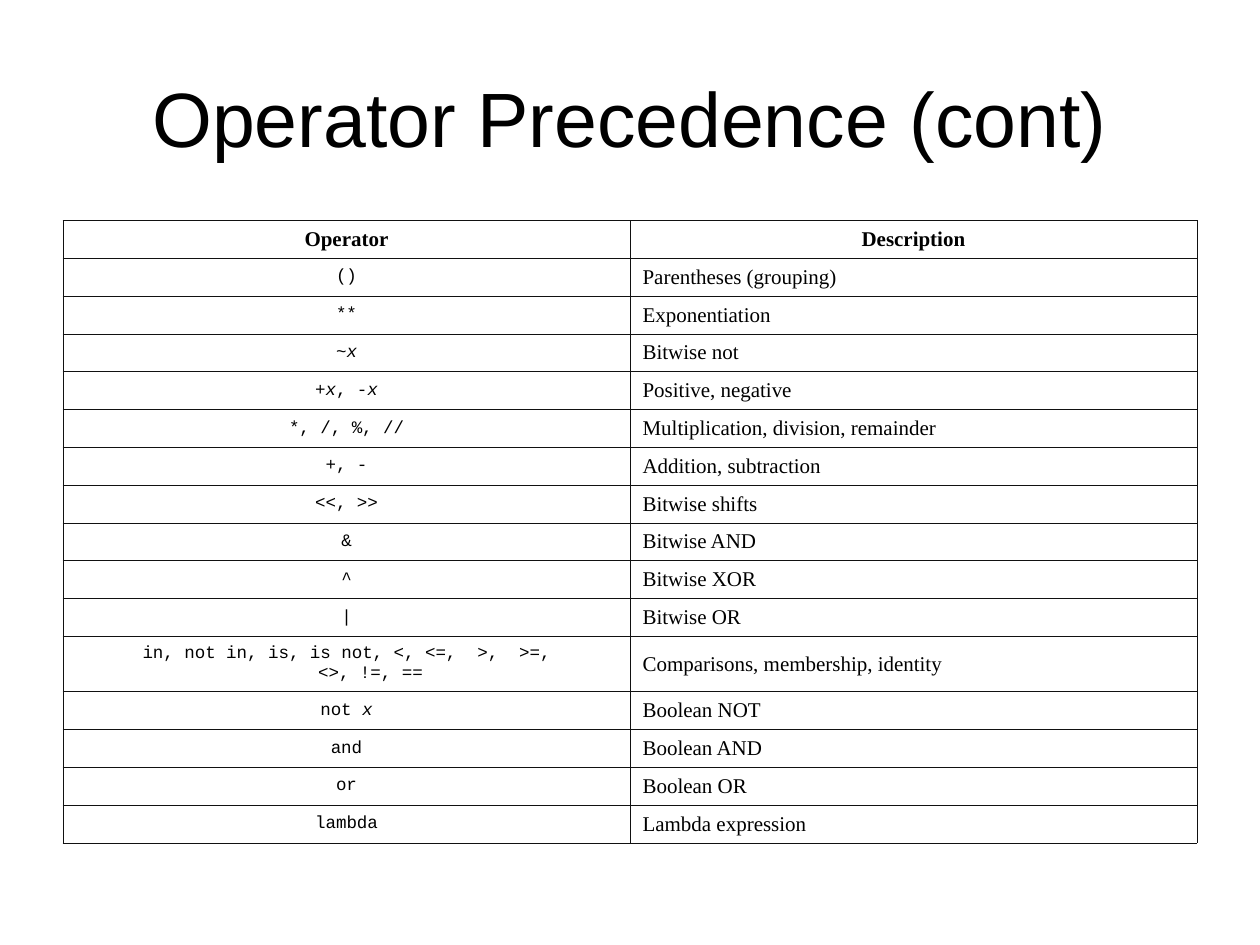
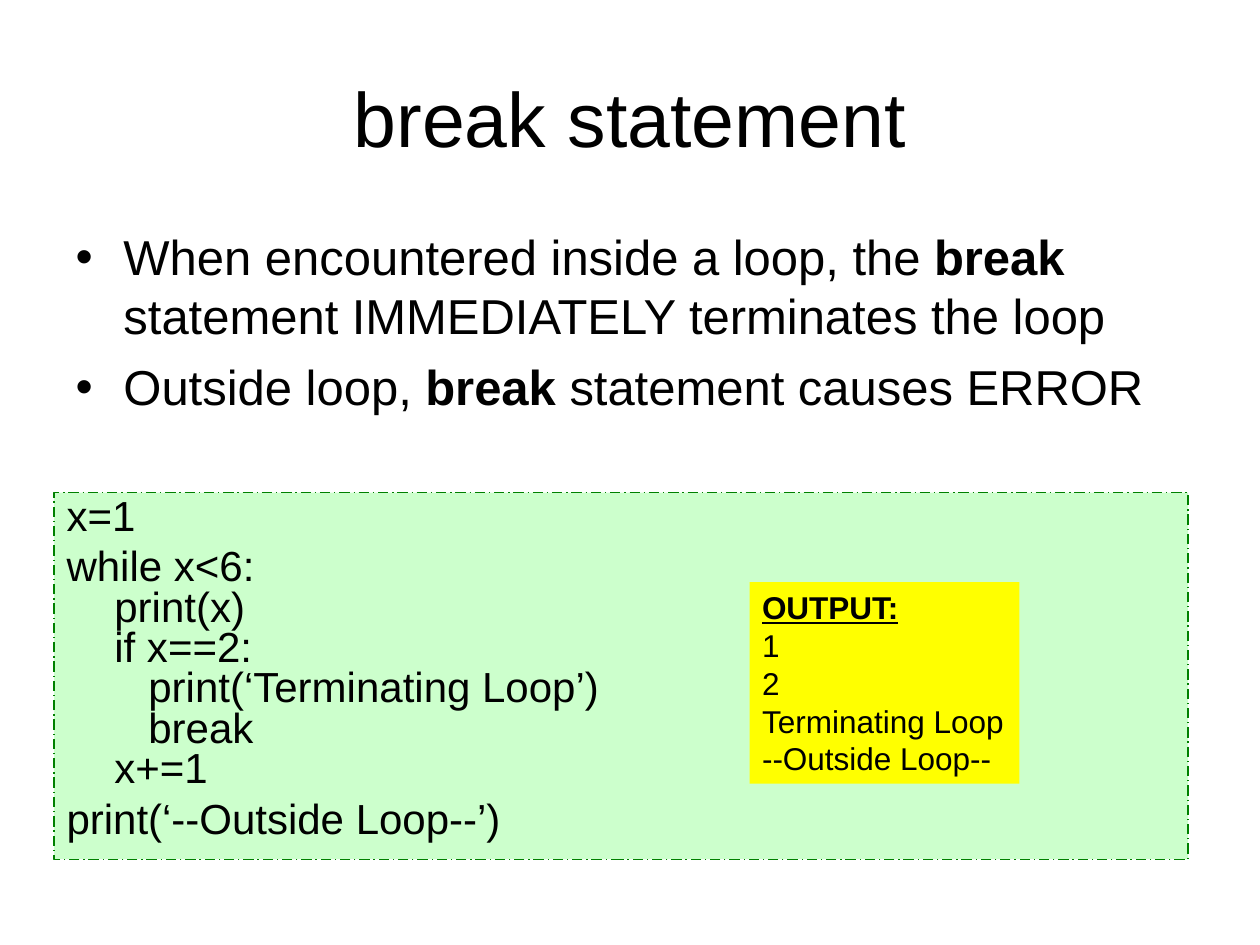
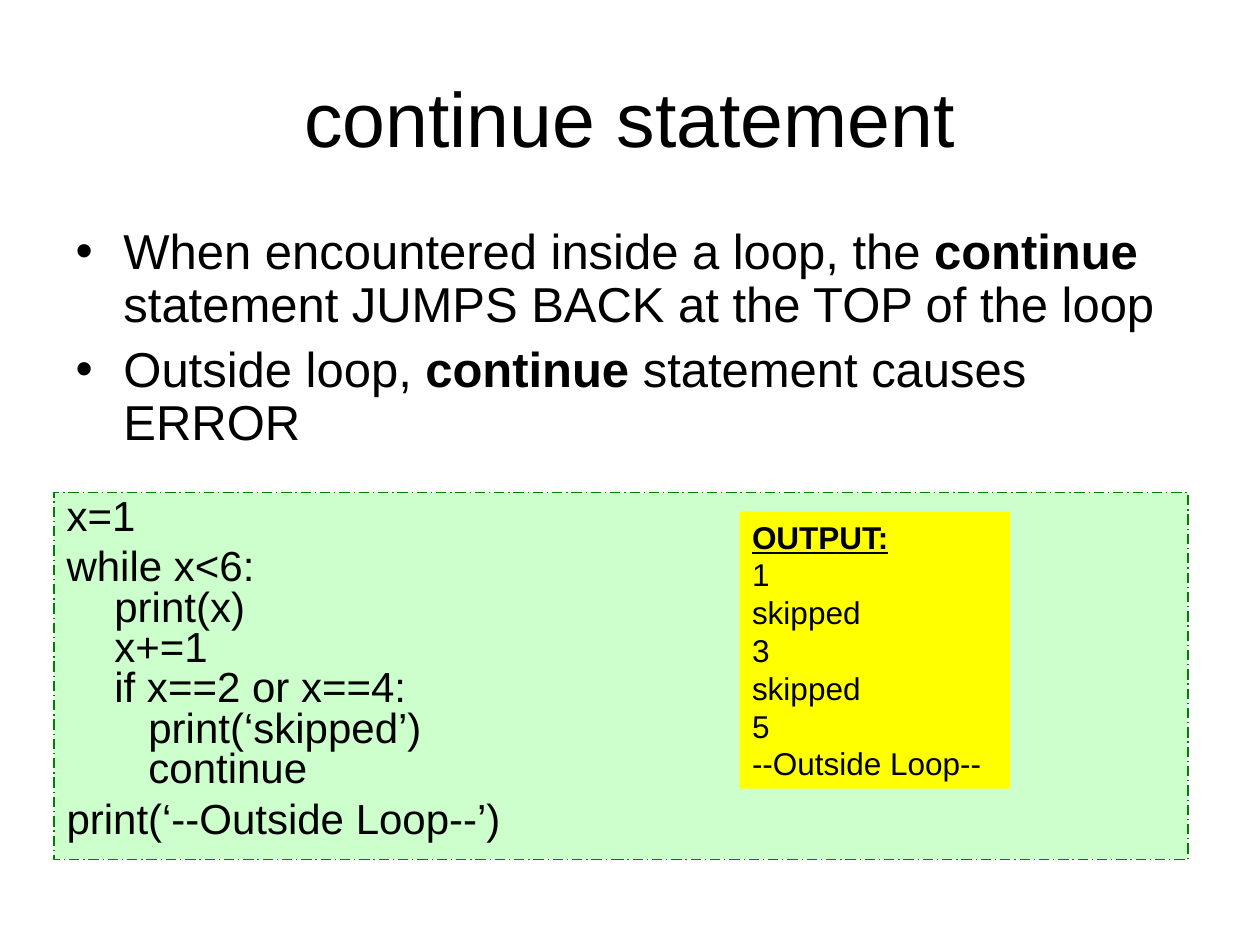
from lxml import etree
from pptx import Presentation
from pptx.dml.color import RGBColor
from pptx.enum import dml, shapes, text
from pptx.oxml import ns
from pptx import util as u

SCALE = 9144  # EMU in one px, 100 px to the inch
HEX = {"ink": "000000", "grid": "111111", "code": "CCFFCC",
       "edge": "008000", "out": "FFFF00"}
SANS, SERIF, MONO = "Arial", "Times New Roman", "Courier New"
HANG = 38
STEPS = (0, 38, 65)  # left edge of each code level

OPS = [
    ("()", "Parentheses (grouping)"),
    ("**", "Exponentiation"),
    ("~_x_", "Bitwise not"),
    ("+_x_, -_x_", "Positive, negative"),
    ("*, /, %, //", "Multiplication, division, remainder"),
    ("+, -", "Addition, subtraction"),
    ("<<, >>", "Bitwise shifts"),
    ("&", "Bitwise AND"),
    ("^", "Bitwise XOR"),
    ("|", "Bitwise OR"),
    ("in, not in, is, is not, <, <=,  >,  >=,\n<>, !=, ==",
     "Comparisons, membership, identity"),
    ("not _x_", "Boolean NOT"),
    ("and", "Boolean AND"),
    ("or", "Boolean OR"),
    ("lambda", "Lambda expression"),
]

LOOPS = [
    dict(
        title="break statement",
        points=["When encountered inside a loop, the _break_ statement "
                "IMMEDIATELY terminates the loop",
                "Outside loop, _break_ statement causes ERROR"],
        high=169, lead=1.0,
        code=[(0, "x=1"), (0, "while x<6:"), (1, "print(x)"),
              (1, "if x==2:"), (2, "print(‘Terminating Loop’)"),
              (2, "break"), (1, "x+=1"), (0, "print(‘--Outside Loop--’)")],
        out=["1", "2", "Terminating Loop", "--Outside Loop--"],
        spot=(595, 462, 214, 160)),
    dict(
        title="continue statement",
        points=["When encountered inside a loop, the _continue_ statement "
                "JUMPS BACK at the TOP of the loop",
                "Outside loop, _continue_ statement causes ERROR"],
        high=192, lead=0.9,
        code=[(0, "x=1"), (0, "while x<6:"), (1, "print(x)"), (1, "x+=1"),
              (1, "if x==2 or x==4:"), (2, "print(‘skipped’)"),
              (2, "continue"), (0, "print(‘--Outside Loop--’)")],
        out=["1", "skipped", "3", "skipped", "5", "--Outside Loop--"],
        spot=(587, 406, 215, 220)),
]


def px(n):
    return u.Emu(n * SCALE)


def color(name):
    return RGBColor.from_string(HEX[name])


class Deck:
    def __init__(self):
        self.prs = Presentation()
        self.prs.slide_width, self.prs.slide_height = px(1000), px(750)

    def slide(self, title, layout):
        self.page = self.prs.slides.add_slide(self.prs.slide_layouts[layout])
        head = self.page.shapes.title
        self.place(head, 50, 30, 900, 125)
        self.lines(head.text_frame, [title], 44)

    def place(self, shape, *box):
        shape.left, shape.top, shape.width, shape.height = map(px, box)
        shape.text_frame.auto_size = text.MSO_AUTO_SIZE.NONE

    def lines(self, frame, rows, size, face=SANS, mark="bold"):
        """Write one paragraph a row; words between underscores get the mark."""
        for i, row in enumerate(rows):
            para = frame.add_paragraph() if i else frame.paragraphs[0]
            para.font.name, para.font.size = face, u.Pt(size)
            para.font.color.rgb = color("ink")
            for j, part in enumerate(row.split("_")):
                for k, bit in enumerate(part.split("\n")):
                    if k:
                        para.add_line_break()
                    if bit:
                        run = para.add_run()
                        run.text = bit
                        if j % 2:
                            setattr(run.font, mark, True)
        return frame.paragraphs

    def indent(self, para, left, first):
        props = para._p.get_or_add_pPr()
        props.set("marL", str(px(left)))
        props.set("indent", str(px(first)))

    def points(self, rows, high, lead):
        body = self.page.placeholders[1]
        self.place(body, 50, 175, 900, high)
        for para in self.lines(body.text_frame, rows, 28):
            para.space_before, para.line_spacing = u.Pt(7), lead
            self.indent(para, HANG, -HANG)

    def panel(self, box, fill, rows, size):
        shape = self.page.shapes.add_shape(
            shapes.MSO_SHAPE.RECTANGLE, *map(px, box))
        shape.shadow.inherit = False
        shape.fill.solid()
        shape.fill.fore_color.rgb = color(fill)
        shape.line.fill.background()
        frame = shape.text_frame
        frame.word_wrap = True
        frame.vertical_anchor = text.MSO_ANCHOR.TOP
        paras = self.lines(frame, rows, size)
        for para in paras:
            para.alignment = text.PP_ALIGN.LEFT
        return shape, paras

    def code(self, rows):
        shape, paras = self.panel((43, 391, 900, 291), "code",
                                  [row for _, row in rows], 24)
        shape.line.color.rgb = color("edge")
        shape.line.width = u.Pt(0.75)
        shape.line.dash_style = dml.MSO_LINE.LONG_DASH_DOT
        for para, (level, _) in zip(paras, rows):
            para.line_spacing = 0.8
            para.space_before = u.Pt(0 if level else 6)
            self.indent(para, STEPS[level], 0)

    def output(self, rows, spot):
        _, paras = self.panel(spot, "out", ["OUTPUT:"] + rows, 18)
        paras[0].font.bold = paras[0].font.underline = True

    def border(self, cell):
        props = cell._tc.get_or_add_tcPr()
        for i, side in enumerate(("lnL", "lnR", "lnT", "lnB")):
            line = etree.Element(ns.qn("a:" + side), w=str(u.Pt(0.45)))
            fill = etree.SubElement(line, ns.qn("a:solidFill"))
            etree.SubElement(fill, ns.qn("a:srgbClr"), val=HEX["grid"])
            props.insert(i, line)

    def table(self, head, rows):
        rows = [head] + rows
        grid = self.page.shapes.add_table(
            len(rows), 2, px(50), px(175), px(900), px(494)).table
        grid.first_row = grid.horz_banding = False
        for r, row in enumerate(rows):
            grid.rows[r].height = px(44 if "\n" in row[0] else 30)
            for c, words in enumerate(row):
                cell = grid.cell(r, c)
                cell.fill.background()
                cell.vertical_anchor = text.MSO_ANCHOR.MIDDLE
                self.border(cell)
                size, face = (10, MONO) if r and c == 0 else (12, SERIF)
                para = self.lines(cell.text_frame, [words], size, face,
                                  "italic")[0]
                self.indent(para, HANG, -HANG)
                para.font.bold = r == 0
                if r == 0 or c == 0:
                    para.alignment = text.PP_ALIGN.CENTER


def main():
    deck = Deck()
    deck.slide("Operator Precedence (cont)", 5)
    deck.table(("Operator", "Description"), OPS)
    for loop in LOOPS:
        deck.slide(loop["title"], 1)
        deck.points(loop["points"], loop["high"], loop["lead"])
        deck.code(loop["code"])
        deck.output(loop["out"], loop["spot"])
    deck.prs.save("out.pptx")


if __name__ == "__main__":
    main()
